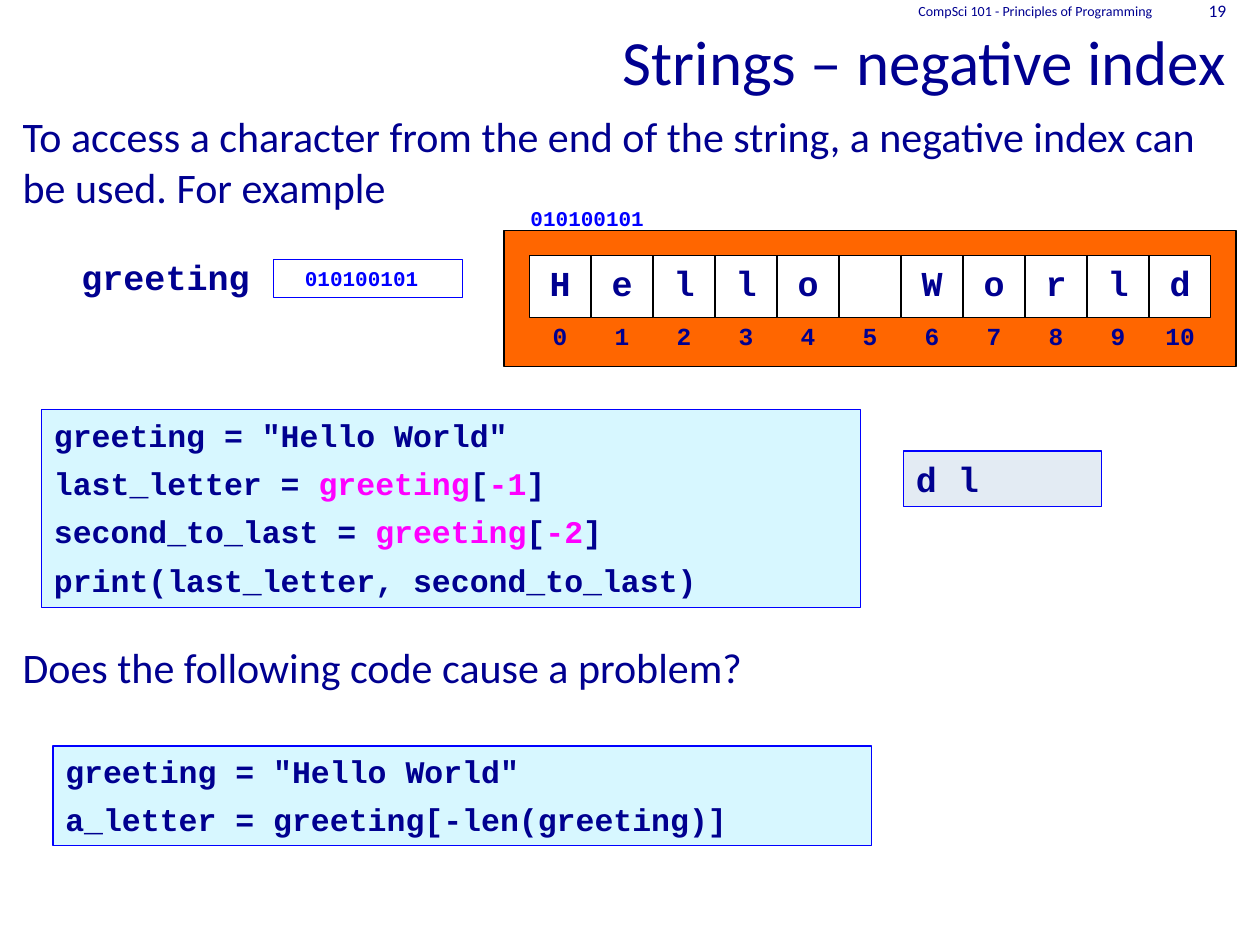
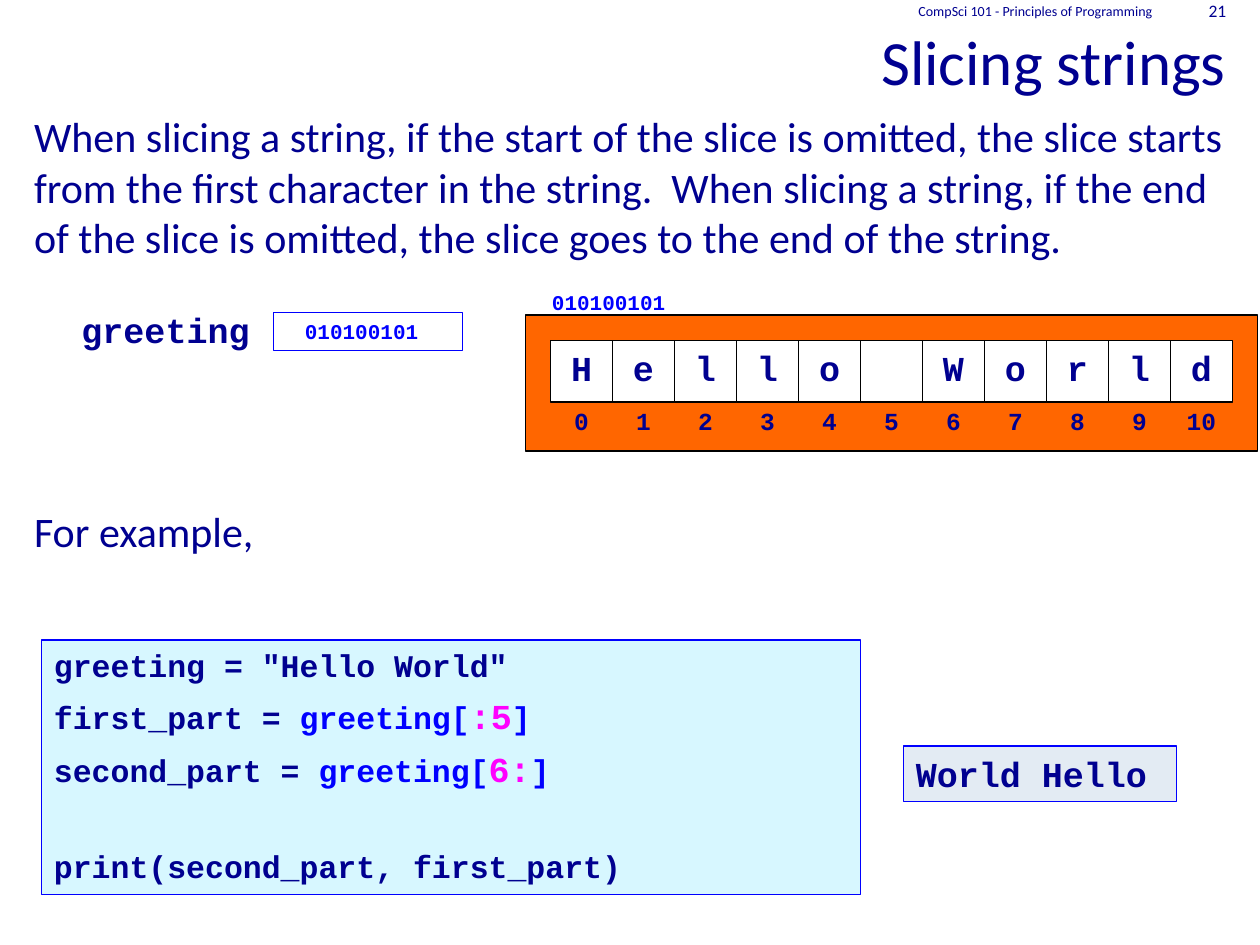
from pptx import Presentation
from pptx.dml.color import RGBColor
from pptx.enum.shapes import MSO_SHAPE
from pptx.enum.text import MSO_ANCHOR, MSO_AUTO_SIZE, PP_ALIGN
from pptx.util import Inches, Pt

RECT = MSO_SHAPE.RECTANGLE
TOP, MIDDLE, BOTTOM = MSO_ANCHOR.TOP, MSO_ANCHOR.MIDDLE, MSO_ANCHOR.BOTTOM
LEFT, CENTER, RIGHT = PP_ALIGN.LEFT, PP_ALIGN.CENTER, PP_ALIGN.RIGHT
NO_FIT = MSO_AUTO_SIZE.NONE

COLORS = {
    "ink": "000090",
    "blue": "0000FF",
    "pink": "FF00FF",
    "memory": "FF6600",
    "code": "D7F7FF",
    "output": "E3EBF3",
    "white": "FFFFFF",
    "black": "000000",
}
SANS, MONO = "Calibri", "Courier New"
COURSE = "CompSci 101 - Principles of Programming"
GREETING, ADDRESS = "Hello World", "010100101 "
ASSIGN = f'greeting = "{GREETING}"'
CELL = 0.49


def rgb(name):
    """Return the named colour."""
    return RGBColor.from_string(COLORS[name])


def write(sp, lines, size=20, font=MONO, color="ink", bold=True, align=LEFT,
          anchor=TOP, gap=6, gaps=None, wrap=True):
    """Fill a shape with lines, each a string or a list of (text, color, size) runs."""
    tf = sp.text_frame
    tf.word_wrap = wrap
    tf.auto_size = NO_FIT
    tf.vertical_anchor = anchor
    for i, line in enumerate(lines):
        p = tf.paragraphs[0] if i == 0 else tf.add_paragraph()
        p.alignment = align
        p.space_before = Pt((gaps or {}).get(i, gap) if i else 0)
        for text, run_color, run_size in [(line, color, size)] if isinstance(line, str) else line:
            r = p.add_run()
            r.text = text
            r.font.name, r.font.size, r.font.bold = font, Pt(run_size), bold
            r.font.color.rgb = rgb(run_color)


def place(sp, box):
    """Move a shape to a box of left, top, width and height in inches."""
    sp.left, sp.top, sp.width, sp.height = (Inches(v) for v in box)


def add_box(shapes, box, fill=None, line="blue"):
    """Add a thinly outlined rectangle."""
    sp = shapes.add_shape(RECT, *(Inches(v) for v in box))
    sp.shadow.inherit = False
    if fill:
        sp.fill.solid()
        sp.fill.fore_color.rgb = rgb(fill)
    else:
        sp.fill.background()
    sp.line.color.rgb = rgb(line)
    sp.line.width = Pt(0.75)
    return sp


def add_text(shapes, box, text, **fmt):
    """Add a text box holding one line."""
    sp = shapes.add_textbox(*(Inches(v) for v in box))
    write(sp, [text], **fmt)


def add_slide(prs, number, title, body, body_box, body_gap):
    """Add a slide with its title, body text and header."""
    s = prs.slides.add_slide(prs.slide_layouts[1])
    place(s.shapes.title, (0, 0, 9.83, 0.83))
    write(s.shapes.title, [title], size=36, font=SANS, bold=False, align=RIGHT, anchor=BOTTOM)
    sp = s.placeholders[1]
    place(sp, body_box)
    write(sp, body, size=24, font=SANS, bold=False, gap=body_gap)
    for p in sp.text_frame.paragraphs:
        pPr = p._p.get_or_add_pPr()
        pPr.set("marL", "0")
        pPr.set("indent", "0")
        bullet = pPr.makeelement(
            "{http://schemas.openxmlformats.org/drawingml/2006/main}buNone", {})
        pPr.append(bullet)
    header = dict(font=SANS, bold=False, align=RIGHT, anchor=MIDDLE)
    add_text(s.shapes, (6.25, 0, 3, 0.17), COURSE, size=8, **header)
    add_text(s.shapes, (9.25, 0, 0.58, 0.17), str(number), size=10, **header)
    return s


def add_memory(s, left, top):
    """Draw the string object: its address, characters and indexes."""
    shapes = s.shapes.add_group_shape().shapes
    add_box(shapes, (left, top, 5.81, 1.08), "memory", "black")
    pitch = (5.81 - 0.4 - CELL) / (len(GREETING) - 1)
    for i, letter in enumerate(GREETING):
        x, y = left + 0.2 + i * pitch, top + 0.2
        cell = add_box(shapes, (x, y, CELL, CELL), "white", "black")
        if letter.strip():
            write(cell, [letter], align=CENTER, wrap=False)
        add_text(shapes, (x, y + 0.47, CELL, 0.34), str(i), size=14, align=CENTER, wrap=False)
    add_text(shapes, (left, top - 0.25, 1.42, 0.3), ADDRESS, size=12, color="blue", align=CENTER)


def add_variable(s, left, top):
    """Draw the variable name beside the address it holds."""
    shapes = s.shapes.add_group_shape().shapes
    add_text(shapes, (left, top, 1.53, 0.43), "greeting", align=CENTER, wrap=False)
    sp = add_box(shapes, (left + 1.62, top + 0.08, 1.5, 0.3))
    write(sp, [ADDRESS], size=12, color="blue", align=CENTER)


def add_code(s, left, top, height, lines, gaps=None):
    """Add a panel of code."""
    sp = add_box(s.shapes, (left, top, 6.5, height), "code")
    write(sp, lines, size=18, gaps=gaps)


def add_output(s, left, top, width, text):
    """Add a panel with the printed output."""
    write(add_box(s.shapes, (left, top, width, 0.44), "output"), [text])


def index_line(name, index):
    """Return a code line that highlights a negative index."""
    return [(f"{name} = ", "ink", 18), ("greeting", "pink", 18), ("[", "ink", 18),
            (index, "pink", 18), ("]", "ink", 18)]


def slice_line(name, part):
    """Return a code line that highlights a slice."""
    return [(f"{name} = ", "ink", 18), ("greeting[", "blue", 18),
            (part, "pink", 20), ("]", "blue", 18)]


def negative_index_slide(prs):
    """Build the slide on negative indexes."""
    body = ["To access a character from the end of the string, a negative index can be used. "
            "For example", "Does the following code cause a problem?"]
    s = add_slide(prs, 19, "Strings – negative index", body, (0.08, 0.83, 9.75, 6.42), 245.5)
    add_output(s, 7.17, 3.58, 1.57, "d l")
    add_memory(s, 4, 1.83)
    add_variable(s, 0.55, 1.98)
    add_code(s, 0.33, 3.25, 1.57, [
        ASSIGN, index_line("last_letter", "-1"), index_line("second_to_last", "-2"),
        "print(last_letter, second_to_last)"])
    add_code(s, 0.42, 5.92, 0.79, [ASSIGN, "a_letter = greeting[-len(greeting)]"])


def slicing_slide(prs):
    """Build the slide on slices with an omitted start or end."""
    body = ["When slicing a string, if the start of the slice is omitted, the slice starts from "
            "the first character in the string.  When slicing a string, if the end of the slice "
            "is omitted, the slice goes to the end of the string.", "For example,"]
    s = add_slide(prs, 21, "Slicing strings", body, (0.17, 0.83, 9.83, 5.92), 139)
    add_output(s, 7.17, 5.92, 2.17, "World Hello")
    add_memory(s, 4.17, 2.5)
    add_variable(s, 0.55, 2.4)
    add_code(s, 0.33, 5.08, 2.02, [
        ASSIGN, slice_line("first_part", ":5"),
        slice_line("second_part", "6:"), "print(second_part, first_part)"], gaps={3: 33})


def main():
    """Build and save the presentation."""
    prs = Presentation()
    prs.slide_width, prs.slide_height = Inches(10), Inches(7.5)
    negative_index_slide(prs)
    slicing_slide(prs)
    prs.save("out.pptx")


if __name__ == "__main__":
    main()
